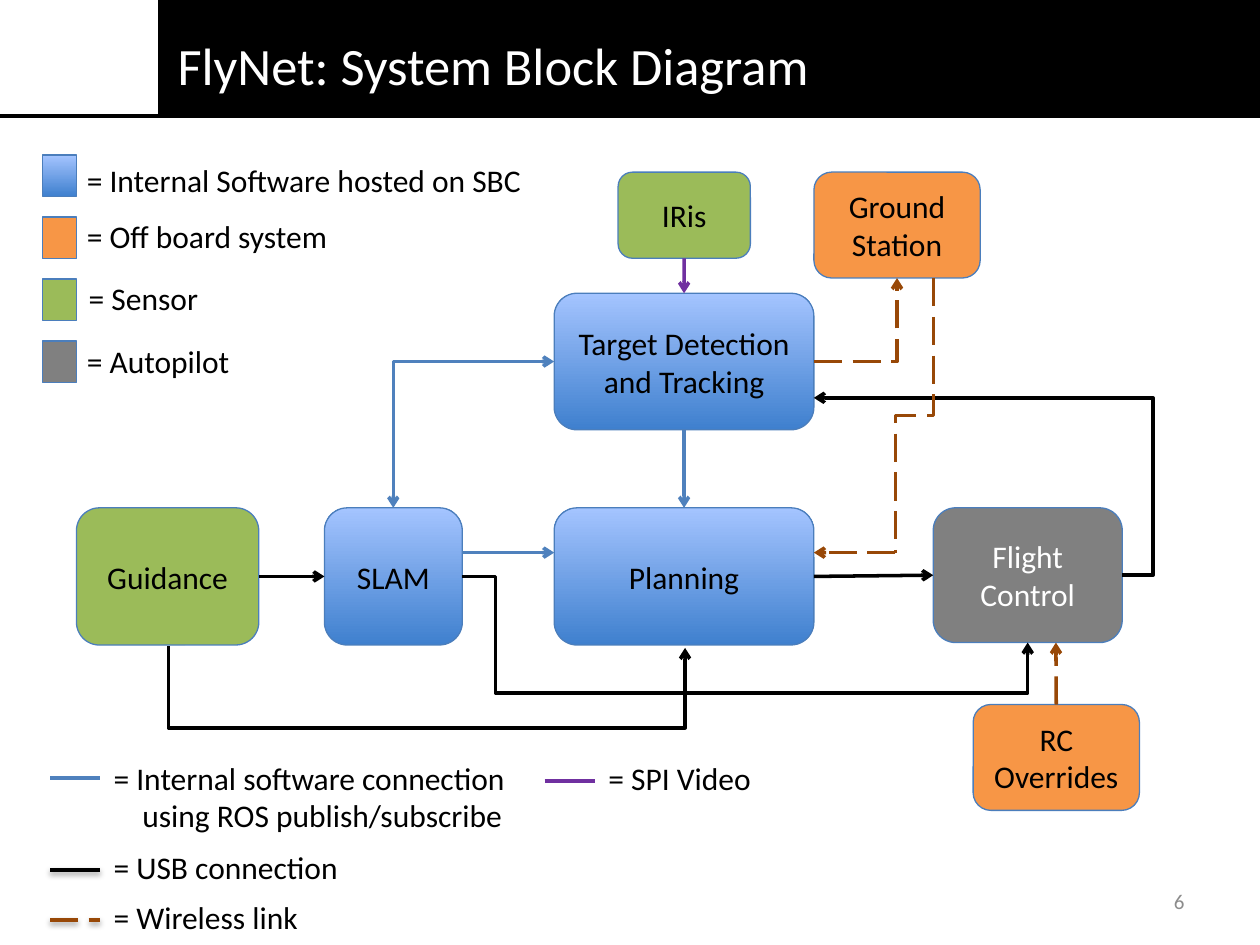
from lxml.etree import SubElement
from pptx import Presentation
from pptx.dml.color import RGBColor
from pptx.enum.dml import MSO_LINE
from pptx.enum.shapes import MSO_CONNECTOR, MSO_SHAPE
from pptx.enum.text import MSO_ANCHOR, PP_ALIGN
from pptx.oxml.ns import qn
from pptx.util import Pt

BLACK = RGBColor(0x00, 0x00, 0x00)
WHITE = RGBColor(0xFF, 0xFF, 0xFF)
GRAY = RGBColor(0x80, 0x80, 0x80)
NUMBER_GRAY = RGBColor(0x8C, 0x8C, 0x8C)
GREEN = RGBColor(0x9B, 0xBB, 0x59)
ORANGE = RGBColor(0xF7, 0x96, 0x46)
BROWN = RGBColor(0x98, 0x48, 0x07)
PURPLE = RGBColor(0x70, 0x30, 0xA0)
BLUE = RGBColor(0x4F, 0x81, 0xBD)
OUTLINE = RGBColor(0x4B, 0x7E, 0xBC)
SOFTWARE = (RGBColor(0x3F, 0x80, 0xCE), RGBColor(0xA4, 0xC4, 0xFF))


class DiagramSlide:
    font_name = "Calibri"
    font_size = 18
    line_width = 2

    def __init__(self, presentation):
        self.slide = presentation.slides.add_slide(presentation.slide_layouts[6])
        self.shapes = self.slide.shapes

    def set_font(self, paragraph, color, size):
        paragraph.font.name = self.font_name
        paragraph.font.size = Pt(size)
        paragraph.font.color.rgb = color

    def box(self, left, top, width, height, fill, text="", color=BLACK,
            kind=MSO_SHAPE.ROUNDED_RECTANGLE, outline=OUTLINE):
        shape = self.shapes.add_shape(kind, Pt(left), Pt(top), Pt(width), Pt(height))
        shape.shadow.inherit = False
        if isinstance(fill, RGBColor):
            shape.fill.solid()
            shape.fill.fore_color.rgb = fill
        else:
            shape.fill.gradient()
            shape.fill.gradient_angle = 90
            for stop, stop_color in zip(shape.fill.gradient_stops, fill):
                stop.color.rgb = stop_color
        shape.line.color.rgb = outline
        shape.line.width = Pt(0.75)
        if text:
            shape.text_frame.text = text
            shape.text_frame.vertical_anchor = MSO_ANCHOR.MIDDLE
            paragraph = shape.text_frame.paragraphs[0]
            paragraph.alignment = PP_ALIGN.CENTER
            self.set_font(paragraph, color, self.font_size)
        return shape

    def label(self, left, top, width, height, text, color=BLACK, size=font_size,
              alignment=PP_ALIGN.LEFT, anchor=MSO_ANCHOR.TOP, hanging=0):
        frame = self.shapes.add_textbox(Pt(left), Pt(top), Pt(width), Pt(height)).text_frame
        frame.word_wrap = True
        frame.vertical_anchor = anchor
        frame.text = text
        paragraph = frame.paragraphs[0]
        paragraph.alignment = alignment
        if hanging:
            properties = paragraph._p.get_or_add_pPr()
            properties.set("marL", str(Pt(hanging)))
            properties.set("indent", str(-Pt(hanging)))
        self.set_font(paragraph, color, size)

    def style_line(self, connector, color, head, tail, shadow=False):
        connector.line.color.rgb = color
        connector.line.width = Pt(self.line_width)
        if color == BROWN:
            connector.line.dash_style = MSO_LINE.LONG_DASH
        properties = connector._element.spPr
        for shown, tag in ((head, "a:headEnd"), (tail, "a:tailEnd")):
            if shown:
                SubElement(properties.find(qn("a:ln")), qn(tag), type="arrow")
        effects = SubElement(properties, qn("a:effectLst"))
        if shadow:
            outer = SubElement(effects, qn("a:outerShdw"), blurRad=str(Pt(3.1)),
                               dist=str(Pt(1.6)), dir="5400000", rotWithShape="0")
            shade = SubElement(outer, qn("a:srgbClr"), val=str(BLACK))
            SubElement(shade, qn("a:alpha"), val="38000")

    def straight(self, begin, end, color, tail=False, shadow=False):
        connector = self.shapes.add_connector(
            MSO_CONNECTOR.STRAIGHT, *(Pt(value) for value in begin + end))
        self.style_line(connector, color, False, tail, shadow)
        return connector

    def join(self, source, source_side, target, target_side, color):
        connector = self.straight((0, 0), (1, 1), color, tail=True)
        connector.begin_connect(source, source_side)
        connector.end_connect(target, target_side)

    def elbow(self, points, color, head=False, tail=True):
        vertical_first = points[0][0] == points[1][0]
        if vertical_first:
            center_x = (points[0][0] + points[-1][0]) / 2
            center_y = (points[0][1] + points[-1][1]) / 2
            points = [(center_x + y - center_y, center_y + center_x - x) for x, y in points]
        begin, end = points[0], points[-1]
        connector = self.shapes.add_connector(
            MSO_CONNECTOR.ELBOW, *(Pt(value) for value in begin + end))
        properties = connector._element.spPr
        if vertical_first:
            properties.find(qn("a:xfrm")).set("rot", "5400000")
        geometry = properties.find(qn("a:prstGeom"))
        geometry.set("prst", f"bentConnector{len(points) - 1}")
        guides = geometry.get_or_add_avLst()
        for index in range(len(points) - 3):
            axis = index % 2
            ratio = (points[index + 1][axis] - begin[axis]) / (end[axis] - begin[axis])
            SubElement(guides, qn("a:gd"), name=f"adj{index + 1}",
                       fmla=f"val {round(ratio * 100000)}")
        self.style_line(connector, color, head, tail)


def main():
    presentation = Presentation()
    presentation.slide_width = Pt(720)
    presentation.slide_height = Pt(540)
    diagram = DiagramSlide(presentation)

    diagram.straight((0, 66.4), (720, 66.4), BLACK)
    diagram.box(90.6, 0, 629.4, 65.8, BLACK, kind=MSO_SHAPE.RECTANGLE, outline=BLACK)
    diagram.label(94.4, 15.2, 550, 43.6, "FlyNet: System Block Diagram", WHITE, 30)

    flight = diagram.box(533.3, 290.2, 108, 77, GRAY, "Flight Control", WHITE)
    slam = diagram.box(185.4, 290.2, 78.8, 78.4, SOFTWARE, "SLAM")
    planning = diagram.box(316.7, 290.2, 148.4, 78.4, SOFTWARE, "Planning")
    tracking = diagram.box(316.7, 167.6, 148.4, 78, SOFTWARE, "Target Detection and Tracking")
    guidance = diagram.box(43.7, 290.2, 104.2, 78.4, GREEN, "Guidance")
    camera = diagram.box(353.2, 98.4, 75.6, 49.2, GREEN, "IRis")
    overrides = diagram.box(556.1, 402.6, 95, 60.5, ORANGE, "RC Overrides")
    diagram.box(465.1, 98.4, 95, 60.5, ORANGE, "Ground Station")

    diagram.join(tracking, 2, planning, 0, BLUE)
    diagram.join(planning, 3, flight, 1, BLACK)
    diagram.join(guidance, 3, slam, 1, BLACK)
    diagram.join(camera, 2, tracking, 0, PURPLE)
    diagram.straight((264.2, 315.8), (316.7, 315.8), BLUE, tail=True)
    diagram.straight((603.6, 402.6), (603.4, 367.2), BROWN, tail=True).begin_connect(overrides, 0)
    diagram.straight((511.7, 315.8), (465.1, 315.8), BROWN, tail=True)

    diagram.elbow([(96.3, 369.2), (96.3, 416.2), (391.5, 416.2), (391.5, 370.2)], BLACK)
    diagram.elbow([(316.7, 206.6), (224.8, 206.6), (224.8, 290.2)], BLUE, head=True)
    diagram.elbow([(641.3, 328.7), (659, 328.7), (659, 227.4), (465.1, 227.4)], BLACK)
    diagram.elbow([(465.1, 206.6), (512.6, 206.6), (512.6, 158.9)], BROWN)
    diagram.elbow([(264.2, 329.4), (283.3, 329.4), (283.3, 396), (587.3, 396),
                   (587.3, 367.2)], BLACK)
    diagram.elbow([(533.5, 158.9), (533.5, 237.4), (511.7, 237.4), (511.7, 315.8)],
                  BROWN, tail=False)

    block_legend = [
        (SOFTWARE, 42.5, 88.6, "= Internal Software hosted on SBC"),
        (ORANGE, 42.5, 120.6, "= Off board system"),
        (GREEN, 43.6, 156, "= Sensor"),
        (GRAY, 42.5, 192, "= Autopilot"),
    ]
    for row, (fill, left, top, text) in enumerate(block_legend):
        diagram.box(24.3, 88.6 + 35.4 * row, 19.4, 23.6, fill, kind=MSO_SHAPE.RECTANGLE)
        diagram.label(left, top, 298, 29, text)

    line_legend = [
        (28.6, 444.7, BLUE, 430,
         "= Internal software connection\vusing ROS publish/subscribe", False, 16.5),
        (28.6, 497.3, BLACK, 481.2, "= USB connection", True, 0),
        (28.6, 525.8, BROWN, 509.8, "= Wireless link", True, 0),
        (311.3, 446.3, PURPLE, 430, "= SPI Video", False, 0),
    ]
    for left, middle, color, top, text, shadow, hanging in line_legend:
        diagram.straight((left, middle), (left + 28.6, middle), color, shadow=shadow)
        diagram.label(left + 29.2, top, 259, 29, text, hanging=hanging)

    diagram.label(516, 500.5, 168, 28.8, "6", NUMBER_GRAY, 12, PP_ALIGN.RIGHT, MSO_ANCHOR.MIDDLE)
    presentation.save("out.pptx")


if __name__ == "__main__":
    main()
